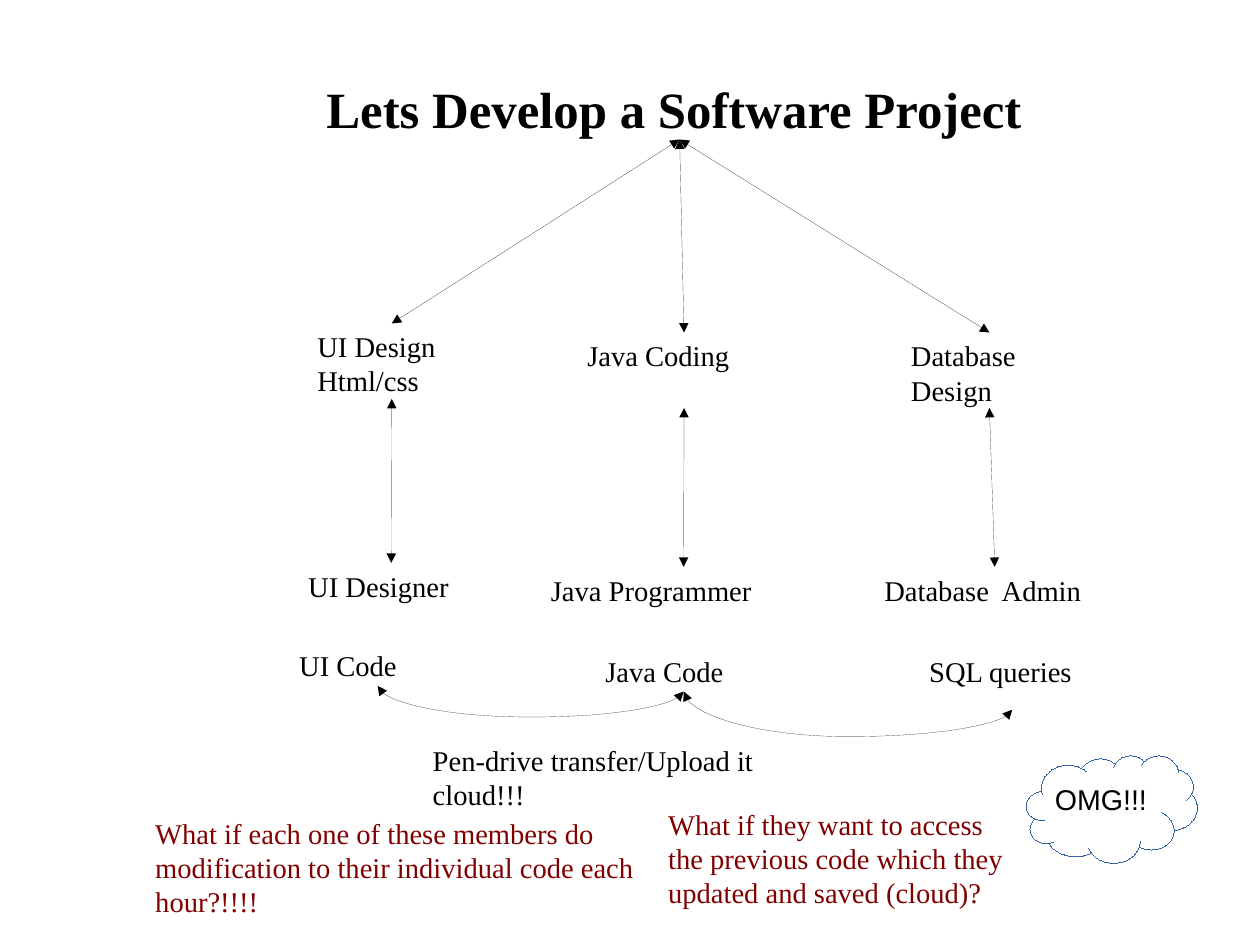
from lxml import etree
from pptx import Presentation
from pptx import util as u
from pptx.dml.color import RGBColor
from pptx.enum import shapes, text
from pptx.oxml.ns import qn

COLORS = {"ink": "000000", "question": "800000", "cloud": "3465A4"}
SERIF, SANS = "Times New Roman", "Arial"
BODY_SIZE = 18
SLIDE_SIZE = (793.7, 595.28)

TITLE = ("Lets Develop a Software Project", (198.4, 45.4, 459.4, 42.5))
TRACKS = [
    {
        "task": (["UI Design", "Html/css"], (192.8, 203.8, 108, 47.5)),
        "role": (["UI Designer"], (187.1, 354.6, 118.8, 47.5)),
        "output": (["UI Code"], (181.4, 404.6, 113, 27.4)),
    },
    {
        "task": (["Java Coding"], (362.9, 209.5, 136, 47.5)),
        "role": (["Java Programmer"], (339.9, 357.1, 181.5, 28)),
        "output": (["Java Code"], (374.2, 408.2, 113, 27.4)),
    },
    {
        "task": (["Database Design"], (566.8, 209.5, 113, 47.5)),
        "role": (["Database  Admin"], (550, 357.1, 153.2, 34)),
        "output": (["SQL queries"], (578.2, 408.2, 118.8, 38.9)),
    },
]
TRANSFER_DIPS = [19.7, 28.4]
REMARKS = [
    ("Pen-drive transfer/Upload it cloud!!!", (265.5, 464.2, 260.6, 46.8), SERIF, "ink"),
    ("What if each one of these members do modification to their individual code each hour?!!!!",
     (90.7, 510.2, 339.8, 67.7), SERIF, "question"),
    ("OMG!!!", (657.4, 488.7, 73.4, 27.4), SANS, "ink"),
    ("What if they want to access the previous code which they updated and saved (cloud)?",
     (413.8, 504.5, 226.8, 87.1), SERIF, "question"),
]
CLOUD = (646.4, 475.9, 107.8, 67.7)
BOTTOM, TOP = 2, 0

deck = Presentation()
deck.slide_width, deck.slide_height = (u.Pt(length) for length in SLIDE_SIZE)
slide = deck.slides.add_slide(deck.slide_layouts[5])


def points(values):
    return [u.Pt(value) for value in values]


def write(holder, lines, font=SERIF, color="ink", size=BODY_SIZE, bold=False):
    frame = holder.text_frame
    frame.word_wrap = True
    frame.auto_size = text.MSO_AUTO_SIZE.NONE
    frame.vertical_anchor = text.MSO_ANCHOR.TOP
    for index, line in enumerate(lines):
        paragraph = frame.add_paragraph() if index else frame.paragraphs[0]
        paragraph.alignment = text.PP_ALIGN.LEFT
        run = paragraph.add_run()
        run.text = line
        run.font.name, run.font.size, run.font.bold = font, u.Pt(size), bold
        run.font.color.rgb = RGBColor.from_string(COLORS[color])


def add_label(lines, box, font=SERIF, color="ink"):
    label = slide.shapes.add_textbox(*points(box))
    write(label, lines, font, color)
    return label


def draw_hairline(shape, color):
    shape.line.color.rgb = RGBColor.from_string(COLORS[color])
    line = shape._element.spPr.find(qn("a:ln"))
    line.set("w", "0")
    return line


def style_arrow(arrow):
    line = draw_hairline(arrow, "ink")
    for end in ("a:headEnd", "a:tailEnd"):
        etree.SubElement(line, qn(end), type="triangle")
    etree.SubElement(arrow._element.spPr, qn("a:effectLst"))


def link(upper, lower):
    arrow = slide.shapes.add_connector(shapes.MSO_CONNECTOR.STRAIGHT, 0, 0, 0, 0)
    arrow.begin_connect(upper, BOTTOM)
    arrow.end_connect(lower, TOP)
    style_arrow(arrow)


def bottom_middle(box):
    left, top, width, height = box
    return left + width / 2, top + height


def link_transfer(source, target, dip):
    (x1, y1), (x2, y2) = bottom_middle(source), bottom_middle(target)
    span, drop = x2 - x1, y2 - y1
    left, top = (x1 + x2 - drop) / 2, (y1 + y2 - span) / 2
    arrow = slide.shapes.add_connector(
        shapes.MSO_CONNECTOR.CURVE, *points((left + drop, top, left, top + span)))
    properties = arrow._element.spPr
    properties.find(qn("a:xfrm")).set("rot", str(270 * 60000))
    guides = properties.find(qn("a:prstGeom")).get_or_add_avLst()
    etree.SubElement(guides, qn("a:gd"), name="adj1", fmla=f"val {round(dip / drop * 100000)}")
    style_arrow(arrow)


heading, heading_box = TITLE
title = slide.shapes.title
title.left, title.top, title.width, title.height = points(heading_box)
write(title, [heading], size=32, bold=True)

for track in TRACKS:
    task, role, output = (add_label(*track[part]) for part in ("task", "role", "output"))
    link(title, task)
    link(task, role)

outputs = [track["output"][1] for track in TRACKS]
for source, target, dip in zip(outputs, outputs[1:], TRANSFER_DIPS):
    link_transfer(source, target, dip)

cloud = slide.shapes.add_shape(shapes.MSO_SHAPE.CLOUD, *points(CLOUD))
cloud.shadow.inherit = False
cloud.fill.background()
draw_hairline(cloud, "cloud")

for remark, box, font, color in REMARKS:
    add_label([remark], box, font, color)

deck.save("out.pptx")
